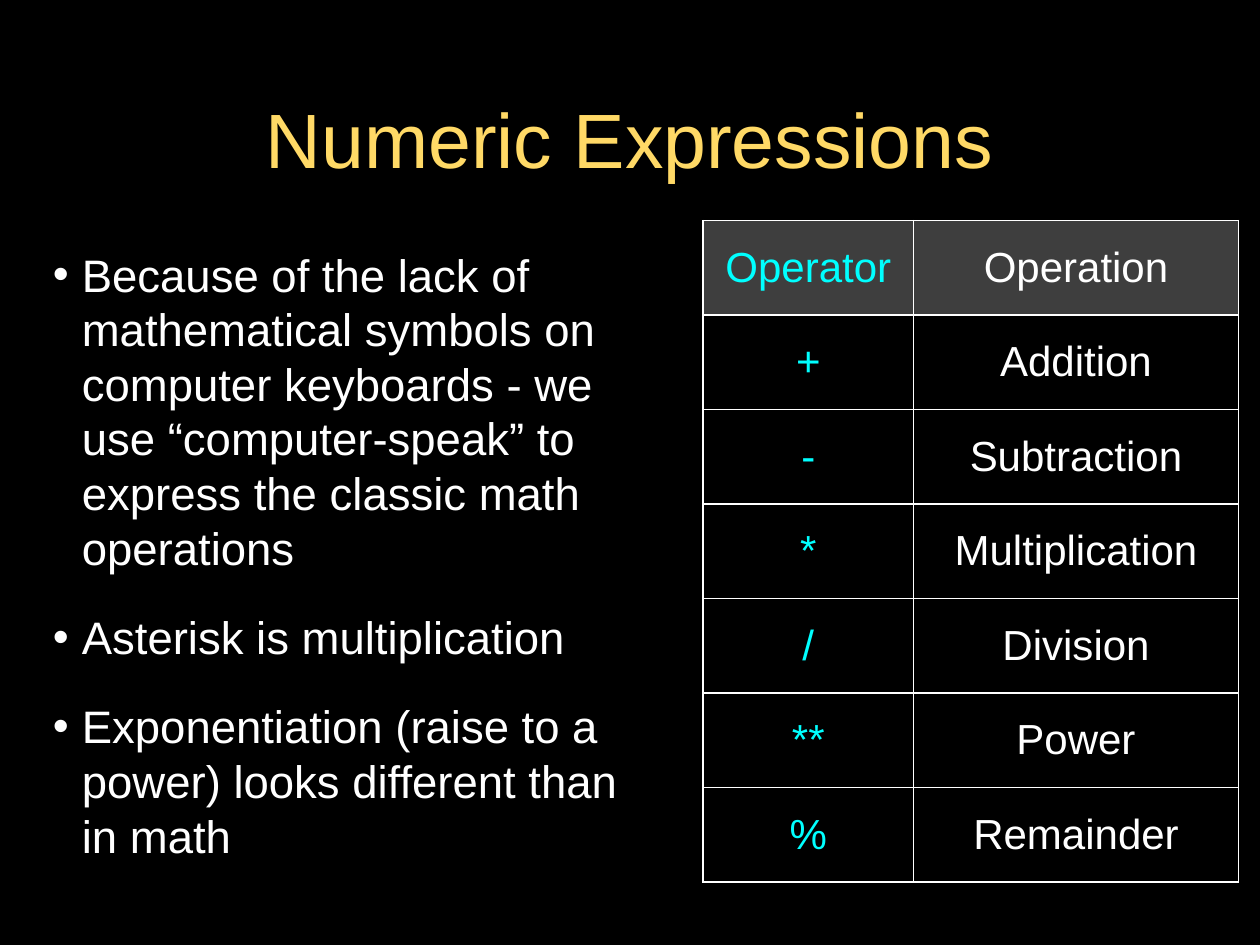
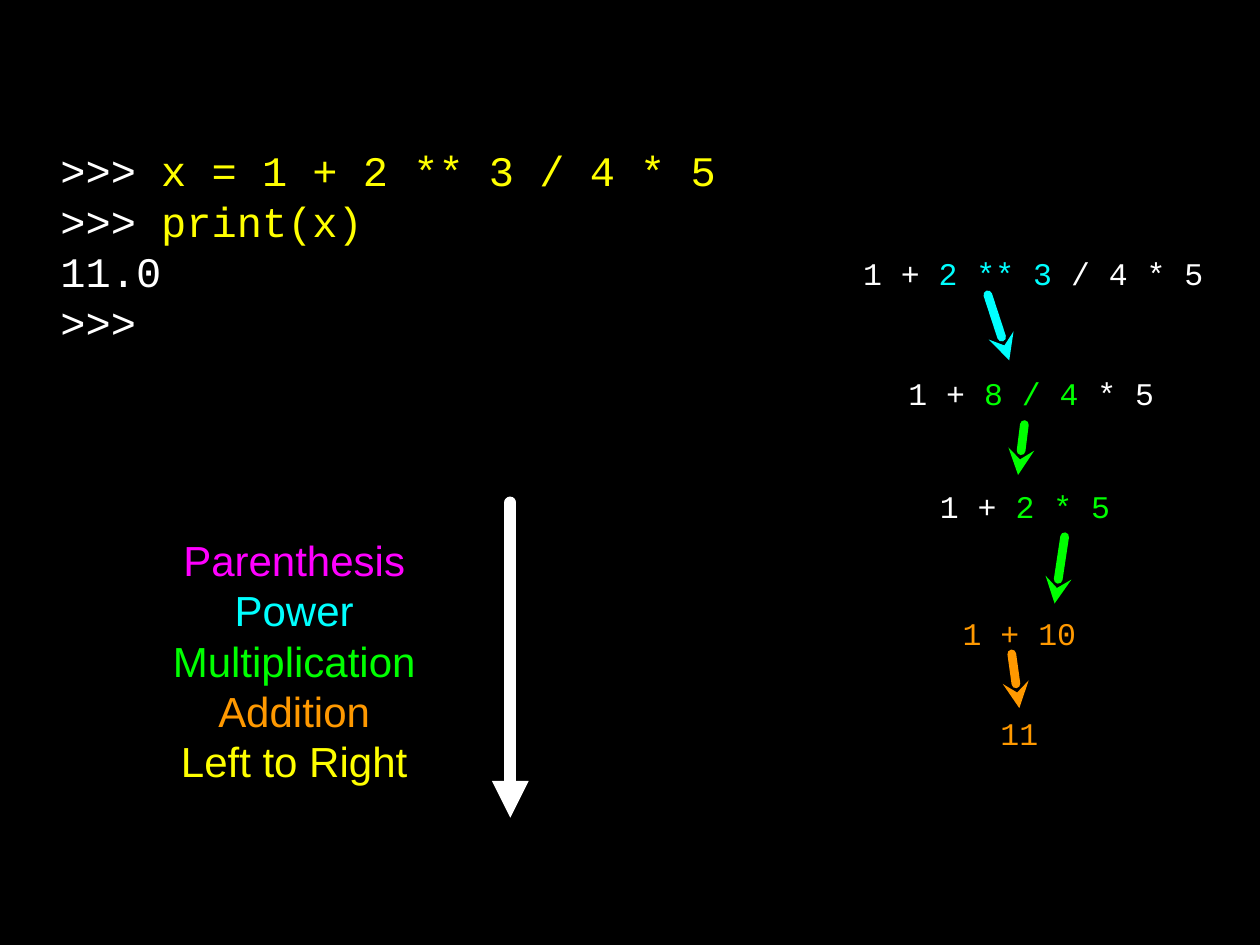
import pptx
import pptx.dml.color
import pptx.enum.shapes
import pptx.enum.text
import pptx.oxml
import pptx.oxml.ns
import pptx.util
from pptx.dml.color import RGBColor
from pptx.util import Inches

# Shared colours, fonts and footer band
BLACK = RGBColor(0x00, 0x00, 0x00)
WHITE = RGBColor(0xFF, 0xFF, 0xFF)
GOLD = RGBColor(0xFF, 0xD9, 0x66)
CYAN = RGBColor(0x00, 0xFF, 0xFF)
GREEN = RGBColor(0x00, 0xFF, 0x00)
ORANGE = RGBColor(0xFF, 0x99, 0x00)
YELLOW = RGBColor(0xFF, 0xFF, 0x00)
MAGENTA = RGBColor(0xFF, 0x00, 0xFF)
GRAY = RGBColor(0x7F, 0x7F, 0x7F)
SANS, MONO = "Arial", "Courier New"
LINE_HEIGHT = 1.2
FOOTER_BAND = (0, 6.85, 10, 0.65)
LEFT = pptx.enum.text.PP_ALIGN.LEFT
CENTER = pptx.enum.text.PP_ALIGN.CENTER
MIDDLE = pptx.enum.text.MSO_ANCHOR.MIDDLE

# Slide 1: numeric expressions
TITLE = "Numeric Expressions"
POINTS = [
    "Because of the lack of mathematical symbols on computer keyboards - we use "
    "“computer-speak” to express the classic math operations",
    "Asterisk is multiplication",
    "Exponentiation (raise to a power) looks different than in math",
]
OPERATORS = [
    ("Operator", "Operation"),
    ("+", "Addition"),
    ("-", "Subtraction"),
    ("*", "Multiplication"),
    ("/", "Division"),
    ("**", "Power"),
    ("%", "Remainder"),
]
COLUMN_WIDTHS = (1.67, 2.58)
ROW_HEIGHT = 0.75

# Slide 2: order of evaluation; each line is a list of (text, colour) runs
SESSION = [
    [(">>> ", WHITE), ("x = 1 + 2 ** 3 / 4 * 5", YELLOW)],
    [(">>> ", WHITE), ("print(x)", YELLOW)],
    [("11.0", WHITE)],
    [(">>>", WHITE)],
]
PRECEDENCE = [
    [("Parenthesis", MAGENTA)],
    [("Power", CYAN)],
    [("Multiplication", GREEN)],
    [("Addition", ORANGE)],
    [("Left to Right", YELLOW)],
]
STEP_HEIGHT = 0.49
STEPS = [  # left, top, width, runs
    (6.85, 1.92, 2.85, [("1 + ", WHITE), ("2 ** 3", CYAN), (" / 4 * 5", WHITE)]),
    (7.21, 2.87, 2.49, [("1 + ", WHITE), ("8 / 4", GREEN), (" * 5", WHITE)]),
    (7.46, 3.77, 1.98, [("1 + ", WHITE), ("2 * 5", GREEN)]),
    (7.64, 4.78, 1.39, [("1 + 10", ORANGE)]),
    (7.94, 5.57, 0.44, [("11", ORANGE)]),
]
STEP_ARROWS = [  # tip, tail, colour
    ((8.01, 2.86), (7.84, 2.34), CYAN),
    ((8.08, 3.77), (8.13, 3.37), GREEN),
    ((8.37, 4.79), (8.45, 4.26), GREEN),
    ((8.09, 5.62), (8.03, 5.19), ORANGE),
]


def add_element(parent, markup):
    """Append a DrawingML element written without its namespace."""
    namespace = pptx.oxml.ns.nsdecls("a")
    tag, rest = markup.split(" ", 1)
    parent.append(pptx.oxml.parse_xml(f"{tag} {namespace} {rest}"))


def add_slide(presentation):
    slide = presentation.slides.add_slide(presentation.slide_layouts[6])
    slide.background.fill.solid()
    slide.background.fill.fore_color.rgb = BLACK
    band = slide.shapes.add_shape(
        pptx.enum.shapes.MSO_SHAPE.RECTANGLE, *map(Inches, FOOTER_BAND))
    band.shadow.inherit = False
    band.fill.solid()
    band.fill.fore_color.rgb = BLACK
    band.line.fill.background()
    return slide


def style_font(font, size, name, color):
    font.size = pptx.util.Pt(size)
    font.name = name
    font.color.rgb = color


def add_text(slide, box, lines, size, name, alignment=LEFT, inset=0):
    shape = slide.shapes.add_textbox(*map(Inches, box))
    text_frame = shape.text_frame
    text_frame.word_wrap = True
    text_frame.vertical_anchor = MIDDLE
    text_frame.margin_left = text_frame.margin_right = Inches(inset)
    text_frame.margin_top = text_frame.margin_bottom = Inches(inset)
    text_frame.text = "\n".join("" for _ in lines)
    for paragraph, runs in zip(text_frame.paragraphs, lines):
        paragraph.alignment = alignment
        paragraph.line_spacing = pptx.util.Pt(size * LINE_HEIGHT)
        for text, color in runs:
            run = paragraph.add_run()
            run.text = text
            style_font(run.font, size, name, color)
    return text_frame


def add_bullets(text_frame, space_before):
    for index, paragraph in enumerate(text_frame.paragraphs):
        if index:
            paragraph.space_before = pptx.util.Pt(space_before)
        properties = paragraph._p.get_or_add_pPr()
        properties.set("marL", str(Inches(0.46)))
        properties.set("indent", str(Inches(-0.23)))
        add_element(properties, f'<a:buClr ><a:srgbClr val="{WHITE}"/></a:buClr>')
        add_element(properties, f'<a:buFont typeface="{SANS}"/>')
        add_element(properties, '<a:buChar char="•"/>')


def add_arrow(slide, tip, tail, color, width, head):
    connector = slide.shapes.add_connector(
        pptx.enum.shapes.MSO_CONNECTOR.STRAIGHT, *map(Inches, tip + tail))
    connector.line.color.rgb = color
    connector.line.width = pptx.util.Pt(width)
    line = connector.line._get_or_add_ln()
    line.set("cap", "rnd")
    add_element(line, f'<a:headEnd type="{head}"/>')
    add_element(connector._element.spPr, "<a:effectLst />")


def style_cell(cell, text, color, is_header):
    cell.text = text
    cell.vertical_anchor = MIDDLE
    cell.margin_left = cell.margin_right = Inches(0.02)
    cell.margin_top = cell.margin_bottom = Inches(0.05)
    paragraph = cell.text_frame.paragraphs[0]
    paragraph.alignment = CENTER
    style_font(paragraph.runs[0].font, 24, SANS, color)
    # Borders come before the fill in the cell properties
    properties = cell._tc.get_or_add_tcPr()
    for side in ("lnL", "lnR", "lnT", "lnB"):
        add_element(properties, f'<a:{side} w="{pptx.util.Pt(0.96)}"><a:solidFill>'
                                f'<a:srgbClr val="{WHITE}"/></a:solidFill></a:{side}>')
    if is_header:
        cell.fill.solid()
        cell.fill.fore_color.rgb = GRAY
        add_element(properties.find(".//" + pptx.oxml.ns.qn("a:solidFill")
                                    + f"/*[@val='{GRAY}']"), '<a:alpha val="49000"/>')
    else:
        cell.fill.background()


def add_operator_table(slide, left, top):
    frame = slide.shapes.add_table(
        len(OPERATORS), len(COLUMN_WIDTHS), Inches(left), Inches(top),
        Inches(sum(COLUMN_WIDTHS)), Inches(ROW_HEIGHT * len(OPERATORS)))
    table = frame.table
    table.first_row = table.horz_banding = False
    for column, width in zip(table.columns, COLUMN_WIDTHS):
        column.width = Inches(width)
    for row_index, row in enumerate(OPERATORS):
        table.rows[row_index].height = Inches(ROW_HEIGHT)
        for column_index, (text, color) in enumerate(zip(row, (CYAN, WHITE))):
            style_cell(table.cell(row_index, column_index), text, color, row_index == 0)


def build_expressions_slide(presentation):
    slide = add_slide(presentation)
    add_text(slide, (0.5, 0.64, 9, 0.91), [[(TITLE, GOLD)]], 44, SANS, CENTER, 0.02)
    points = [[(point, WHITE)] for point in POINTS]
    body = add_text(slide, (0.17, 1.55, 4.83, 5.7), points, 26, SANS, inset=0.02)
    add_bullets(body, 19.8)
    add_operator_table(slide, 5.58, 1.75)


def build_precedence_slide(presentation):
    slide = add_slide(presentation)
    # Evaluation steps and the arrows between them
    for left, top, width, runs in STEPS:
        add_text(slide, (left, top, width, STEP_HEIGHT), [runs], 18, MONO)
    for tip, tail, color in STEP_ARROWS:
        add_arrow(slide, tip, tail, color, 5, "stealth")
    # Interpreter session
    add_text(slide, (0.48, 0.5, 5.67, 2.9), SESSION, 24, MONO)
    # Precedence list, highest first
    add_text(slide, (0.95, 3.4, 2.77, 3.68), PRECEDENCE, 24, SANS, CENTER)
    add_arrow(slide, (4.05, 6.49), (4.05, 3.99), WHITE, 7, "triangle")


def main():
    presentation = pptx.Presentation()
    presentation.slide_width = Inches(10)
    presentation.slide_height = Inches(7.5)
    build_expressions_slide(presentation)
    build_precedence_slide(presentation)
    presentation.save("out.pptx")


if __name__ == "__main__":
    main()
